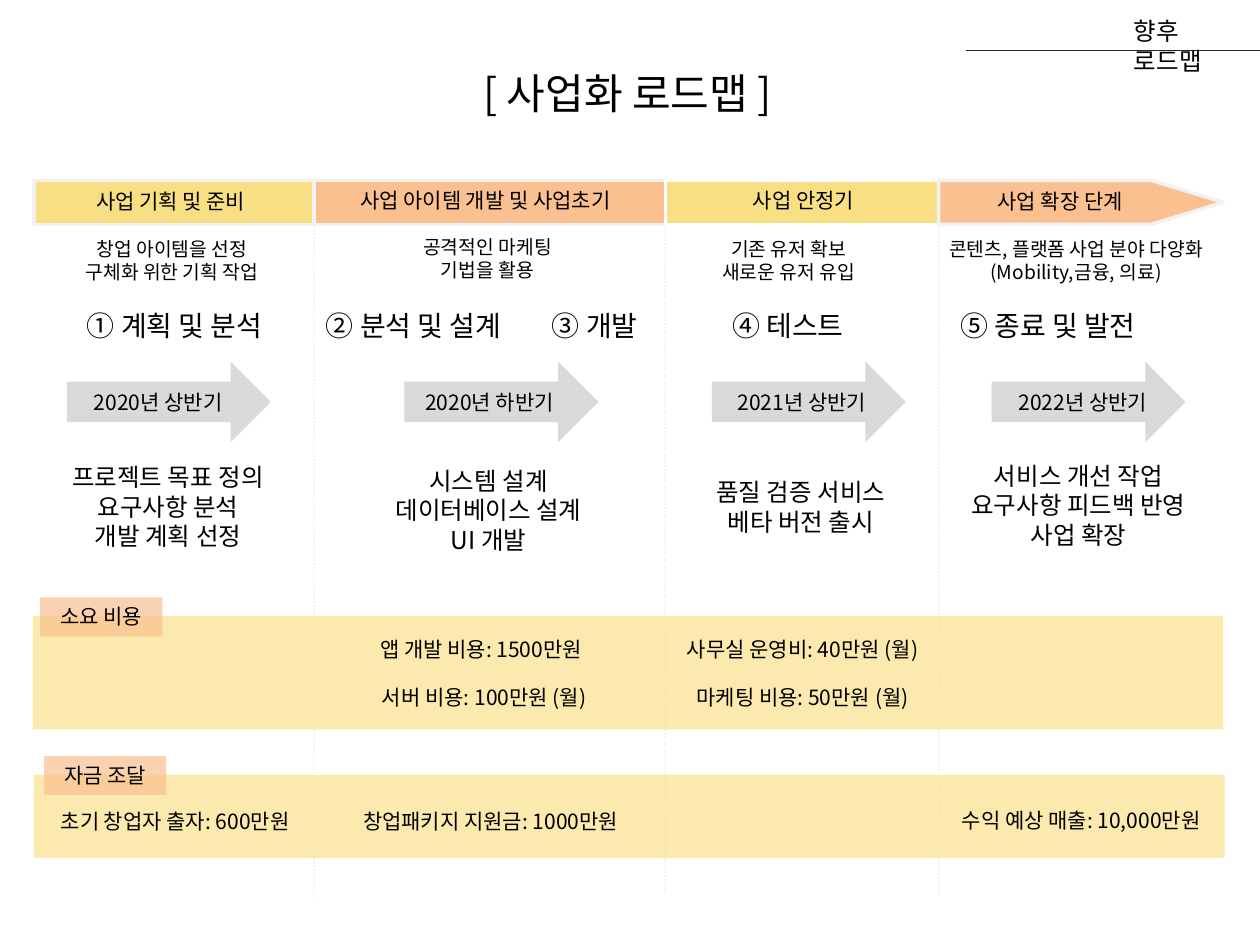
from dataclasses import dataclass

from lxml import etree
from pptx import Presentation
from pptx.dml.color import RGBColor
from pptx.enum.dml import MSO_LINE
from pptx.enum.shapes import MSO_CONNECTOR, MSO_SHAPE
from pptx.enum.text import MSO_ANCHOR, MSO_AUTO_SIZE, PP_ALIGN
from pptx.oxml.ns import qn
from pptx.util import Pt

RECTANGLE, PENTAGON = MSO_SHAPE.RECTANGLE, MSO_SHAPE.PENTAGON
RIGHT_ARROW, STRAIGHT = MSO_SHAPE.RIGHT_ARROW, MSO_CONNECTOR.STRAIGHT
CENTER, LEFT = PP_ALIGN.CENTER, PP_ALIGN.LEFT


@dataclass(frozen=True)
class Theme:
    font: str = "Noto Sans CJK KR"
    header_font: str = "Roboto"
    text: str = "000000"
    yellow: str = "F9DF84"
    orange: str = "FAC090"
    arrow: str = "D9D9D9"
    border: str = "F2F2F2"
    white: str = "FFFFFF"
    rule: str = "272727"
    title_size: int = 24
    step_size: int = 16
    task_size: int = 14
    label_size: int = 12
    note_size: int = 11


THEME = Theme()

# Content: text entries are (centre x, top, width, lines)
TITLE = (358.6, 35.3, 720, ["[ 사업화 로드맵 ]"])
HEADER = (680.4, 5.8, 79.2, ["향후 로드맵"])
COLUMN_EDGES = [19.4, 179.3, 380.2, 536.4, 699.1]
PHASES = [  # shape, fill, border
    (RECTANGLE, THEME.yellow, THEME.border),
    (RECTANGLE, THEME.orange, THEME.border),
    (RECTANGLE, THEME.yellow, THEME.white),
    (PENTAGON, THEME.orange, THEME.border),
]
DIVIDERS = [(127.4, 514.1), (123.1, 509.8), (126, 511.9)]  # top, bottom
PHASE_NAMES = [
    (97.6, 104.4, 111.6, ["사업 기획 및 준비"]),
    (277.4, 103.7, 176.4, ["사업 아이템 개발 및 사업초기"]),
    (459.2, 103.7, 90.7, ["사업 안정기"]),
    (605.9, 104.4, 97.2, ["사업 확장 단계"]),
]
PHASE_NOTES = [
    (98.3, 131.8, 149, ["창업 아이템을 선정", "구체화 위한 기획 작업"]),
    (278.6, 131, 210.2, ["공격적인 마케팅", "기법을 활용"]),
    (450.7, 131.8, 165.6, ["기존 유저 확보", "새로운 유저 유입"]),
    (614.9, 131.8, 224.6, ["콘텐츠, 플랫폼 사업 분야 다양화", "(Mobility,금융, 의료)"]),
]
STEP_TOP = 172.8
STEPS = [
    (99.7, STEP_TOP, 137.5, ["① 계획 및 분석"]),
    (236.3, STEP_TOP, 136.8, ["② 분석 및 설계"]),
    (339.8, STEP_TOP, 85, ["③ 개발"]),
    (450.3, STEP_TOP, 100, ["④ 테스트"]),
    (599, STEP_TOP, 125.3, ["⑤ 종료 및 발전"]),
]
ARROWS = [  # centre x, width
    (96.5, 116.6), (286.6, 110.9), (462.2, 110.9), (622.1, 110.9),
]
ARROW_MIDDLE, ARROW_HEIGHT = 229.7, 46.1
DATE_TOP = 218.9
DATES = [
    (90.4, DATE_TOP, 92.9, ["2020년 상반기"]),
    (279.7, DATE_TOP, 98.6, ["2020년 하반기"]),
    (458.3, DATE_TOP, 98.6, ["2021년 상반기"]),
    (618.8, DATE_TOP, 98.6, ["2022년 상반기"]),
]
TASKS = [
    (96.1, 260.6, 163.4, ["프로젝트 목표 정의", "요구사항 분석", "개발 계획 선정"]),
    (279.2, 262.8, 200.9, ["시스템 설계", "데이터베이스 설계", "UI 개발"]),
    (457.6, 269.3, 130.3, ["품질 검증 서비스", "베타 버전 출시"]),
    (616.3, 259.9, 164.2, ["서비스 개선 작업", "요구사항 피드백 반영", "사업 확장"]),
]
BAND_WIDTH, TAG_WIDTH, TAG_HEIGHT = 680.4, 69.8, 22.3
BANDS = [  # band left, top, height, tag left, tag top, tag name, items
    (18.7, 352.1, 64.8, 23, 341.3, "소요 비용", [
        (274.9, 360, 165.6, ["앱 개발 비용: 1500만원"]),
        (276.6, 387.4, 165.6, ["서버 비용: 100만원 (월)"]),
        (458.6, 360, 165.6, ["사무실 운영비: 40만원 (월)"]),
        (458.6, 387.4, 165.6, ["마케팅 비용: 50만원 (월)"]),
    ]),
    (19.4, 442.8, 47.5, 25.2, 432, "자금 조달", [
        (100.1, 458.6, 155.5, ["초기 창업자 출자: 600만원"]),
        (280.4, 458.6, 167.8, ["창업패키지 지원금: 1000만원"]),
        (617.8, 457.9, 158.4, ["수익 예상 매출: 10,000만원"]),
    ]),
]


def rgb(value):
    return RGBColor.from_string(value)


def set_formats(target, formats):
    for name, value in formats.items():
        setattr(target, name, value)


def add_line(slide, start, end, color, width, dash=None):
    line = slide.shapes.add_connector(STRAIGHT, *map(Pt, (*start, *end)))
    line.line.color.rgb = rgb(color)
    set_formats(line.line, {"width": Pt(width), "dash_style": dash})
    etree.SubElement(line._element.spPr, qn("a:effectLst"))


def add_block(slide, kind, box, fill, border=None, opacity=None):
    shape = slide.shapes.add_shape(kind, *map(Pt, box))
    shape.shadow.inherit = False
    shape.fill.solid()
    shape.fill.fore_color.rgb = rgb(fill)
    if opacity:
        color = shape._element.spPr.find(qn("a:solidFill"))[0]
        etree.SubElement(color, qn("a:alpha"), val=str(opacity * 1000))
    if border:
        shape.line.color.rgb = rgb(border)
        shape.line.width = Pt(2)
    else:
        shape.line.fill.background()
    return shape


def add_text(slide, entry, size, font=THEME.font, align=CENTER):
    center, top, width, lines = entry
    height = len(lines) * size * 1.2 + 7.2
    box = slide.shapes.add_textbox(
        Pt(center - width / 2), Pt(top), Pt(width), Pt(height))
    frame = box.text_frame
    set_formats(frame, {"word_wrap": True, "vertical_anchor": MSO_ANCHOR.TOP,
                        "auto_size": MSO_AUTO_SIZE.SHAPE_TO_FIT_TEXT})
    frame.text = "\n".join(lines)
    for paragraph in frame.paragraphs:
        paragraph.alignment = align
        for run in paragraph.runs:
            set_formats(run.font, {"name": font, "size": Pt(size)})
            run.font.color.rgb = rgb(THEME.text)
            etree.SubElement(run.font._element, qn("a:ea"), typeface=font)


def main():
    presentation = Presentation()
    set_formats(presentation, {"slide_width": Pt(720), "slide_height": Pt(540)})
    slide = presentation.slides.add_slide(presentation.slide_layouts[6])

    # Column dividers and phase bar
    for x, (top, bottom) in zip(COLUMN_EDGES[1:], DIVIDERS):
        add_line(slide, (x, top), (x, bottom), THEME.border, 1, MSO_LINE.ROUND_DOT)
    for left, right, (kind, fill, border) in zip(COLUMN_EDGES, COLUMN_EDGES[1:], PHASES):
        phase = add_block(slide, kind, (left, 103, right - left, 25.2), fill, border)
        if kind == PENTAGON:
            phase.adjustments[0] = 1.64

    # Date arrows
    for center, width in ARROWS:
        box = (center - width / 2, ARROW_MIDDLE - ARROW_HEIGHT / 2, width, ARROW_HEIGHT)
        add_block(slide, RIGHT_ARROW, box, THEME.arrow)

    # Column texts
    for entries, size in (
        (PHASE_NAMES, THEME.label_size), (PHASE_NOTES, THEME.note_size),
        (STEPS, THEME.step_size), (DATES, THEME.label_size),
        (TASKS, THEME.task_size),
    ):
        for entry in entries:
            add_text(slide, entry, size)

    # Cost and funding bands
    for left, top, height, tag_left, tag_top, name, items in BANDS:
        add_block(slide, RECTANGLE, (left, top, BAND_WIDTH, height), THEME.yellow, opacity=66)
        add_block(slide, RECTANGLE, (tag_left, tag_top, TAG_WIDTH, TAG_HEIGHT),
                  THEME.orange, opacity=70)
        tag = (tag_left + TAG_WIDTH / 2, tag_top, TAG_WIDTH, [name])
        for entry in [tag, *items]:
            add_text(slide, entry, THEME.label_size)

    # Title and page header
    add_text(slide, TITLE, THEME.title_size)
    add_line(slide, (552.2, 28.8), (720, 28.8), THEME.rule, 0.75)
    add_text(slide, HEADER, THEME.task_size, THEME.header_font, LEFT)

    presentation.save("out.pptx")


if __name__ == "__main__":
    main()
